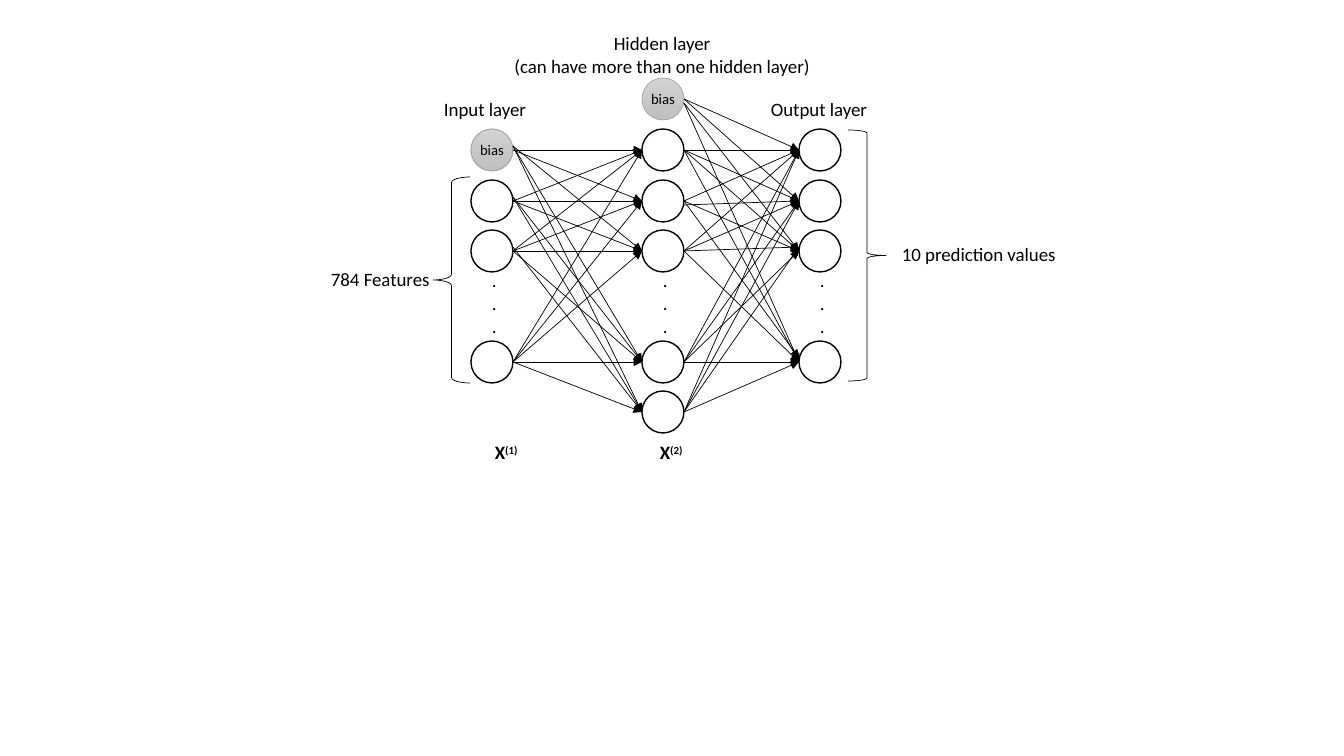
from itertools import product

from lxml import etree
from pptx import Presentation
from pptx import util as u
from pptx.dml.color import RGBColor
from pptx.enum import shapes, text
from pptx.oxml.ns import qn

PX = 914400 / 100.8
SLIDE = (1344, 756)
FONT = "Calibri"
COLORS = {"ink": "000000", "node": "FFFFFF", "bias_top": "D2D2D2",
          "bias_bottom": "C0C0C0", "bias_line": "A5A5A5"}

NODE = 42
ROWS = [99, 150, 201, 251, 362, 412]  # vertical centres of the node rows
LAYERS = {  # left edge, row of the bias node, rows of the plain nodes
    "input": {"x": 471, "bias": 1, "nodes": [2, 3, 4], "bias_width": 0},
    "hidden": {"x": 642, "bias": 0, "nodes": [1, 2, 3, 4, 5], "bias_width": 0.5},
    "output": {"x": 799, "bias": None, "nodes": [1, 2, 3, 4]},
}
# (from row, to row): vertical shift of the start and of the end
SHIFTS = {
    ("input", "hidden"): {(1, 3): (-4, 0), (1, 4): (-4, 0), (1, 5): (-4, 0),
                          (2, 4): (-4, 0), (2, 5): (-4, 0), (3, 5): (-4, 0)},
    ("hidden", "output"): {(0, 3): (4, 0), (0, 4): (4, 0), (2, 4): (0, -4),
                           (2, 2): (4, 0), (3, 3): (0, -4), (5, 3): (0, -4)},
}
BRACES = [  # shape, box, curvature
    (shapes.MSO_SHAPE.LEFT_BRACE, (433, 177, 37, 206), 0.15),
    (shapes.MSO_SHAPE.RIGHT_BRACE, (848, 130, 38, 251), 0.08),
]
LABELS = [  # box, lines, alignment
    ((502, 27, 320, 56), ["Hidden layer", "(can have more than one hidden layer)"], "CENTER"),
    ((434, 93, 104, 33), ["Input layer"], "LEFT"),
    ((761, 93, 118, 33), ["Output layer"], "LEFT"),
    ((321, 263, 121, 33), ["784 Features"], "LEFT"),
    ((892, 238, 177, 33), ["10 prediction values"], "LEFT"),
]
VECTORS = [((485, 436, 48, 33), "X", "(1)"), ((650, 436, 45, 33), "X", "(2)")]


def emu(*lengths):
    return [u.Emu(round(n * PX)) for n in lengths]


def rgb(name):
    return RGBColor.from_string(COLORS[name])


def add_run(p, words, size=13.5, bold=None):
    r = p.add_run()
    r.text = words
    for key, value in {"name": FONT, "size": u.Pt(size), "bold": bold}.items():
        setattr(r.font, key, value)
    r.font.color.rgb = rgb("ink")
    return r


def add_box(s, box):
    tf = s.shapes.add_textbox(*emu(*box)).text_frame
    tf.word_wrap = False
    tf.auto_size = text.MSO_AUTO_SIZE.SHAPE_TO_FIT_TEXT
    return tf


def add_lines(s, box, lines, align="LEFT"):
    tf = add_box(s, box)
    for i, line in enumerate(lines):
        p = tf.add_paragraph() if i else tf.paragraphs[0]
        p.alignment = getattr(text.PP_ALIGN, align)
        add_run(p, line)


def add_outlined(s, kind, box, line, width):
    sp = s.shapes.add_shape(kind, *emu(*box))
    sp.shadow.inherit = False
    sp.line.color.rgb = rgb(line)
    sp.line.width = u.Pt(width)
    return sp


def add_node(s, x, row, line="ink", width=1):
    box = (x, ROWS[row] - NODE / 2, NODE, NODE)
    sp = add_outlined(s, shapes.MSO_SHAPE.OVAL, box, line, width)
    sp.fill.solid()
    sp.fill.fore_color.rgb = rgb("node")
    return sp


def add_bias(s, x, row, width):
    sp = add_node(s, x, row, "bias_line", width)
    sp.fill.gradient()
    sp.fill.gradient_angle = 270
    for stop, name in zip(sp.fill.gradient_stops, ("bias_top", "bias_bottom")):
        stop.color.rgb = rgb(name)
    tf = sp.text_frame
    tf.word_wrap = False
    tf.margin_left, tf.margin_top, tf.margin_right, tf.margin_bottom = emu(3, 4, 3, 4)
    tf.vertical_anchor = text.MSO_ANCHOR.MIDDLE
    tf.paragraphs[0].alignment = text.PP_ALIGN.CENTER
    add_run(tf.paragraphs[0], "bias", 10.5)


def add_arrow(s, x1, y1, x2, y2):
    c = s.shapes.add_connector(shapes.MSO_CONNECTOR.STRAIGHT, *emu(x1, y1, x2, y2))
    c.line.color.rgb = rgb("ink")
    c.line.width = u.Pt(0.5)
    etree.SubElement(c.line._get_or_add_ln(), qn("a:tailEnd"), type="triangle")
    etree.SubElement(c._element.spPr, qn("a:effectLst"))


def connect(s, start, end, shifts):
    """Join every node of one layer to every plain node of the next."""
    sources = [start["bias"], *start["nodes"]]
    for a, b in product(sources, end["nodes"]):
        d1, d2 = shifts.get((a, b), (0, 0))
        add_arrow(s, start["x"] + NODE, ROWS[a] + d1, end["x"], ROWS[b] + d2)


def main():
    prs = Presentation()
    prs.slide_width, prs.slide_height = emu(*SLIDE)
    s = prs.slides.add_slide(prs.slide_layouts[6])

    for layer in LAYERS.values():
        x = layer["x"]
        if layer["bias"] is not None:
            add_bias(s, x, layer["bias"], layer["bias_width"])
        for row in layer["nodes"]:
            add_node(s, x, row)
        add_lines(s, (x + 11, 264, 25, 79), ["."] * 3)

    for (start, end), shifts in SHIFTS.items():
        connect(s, LAYERS[start], LAYERS[end], shifts)

    for kind, box, curve in BRACES:
        sp = add_outlined(s, kind, box, "ink", 0.5)
        sp.fill.background()
        sp.adjustments[0] = curve

    for box, lines, align in LABELS:
        add_lines(s, box, lines, align)

    for box, symbol, index in VECTORS:
        p = add_box(s, box).paragraphs[0]
        add_run(p, symbol, bold=True)
        r = add_run(p, index, bold=True)
        r._r.get_or_add_rPr().set("baseline", "30000")

    prs.save("out.pptx")


if __name__ == "__main__":
    main()
